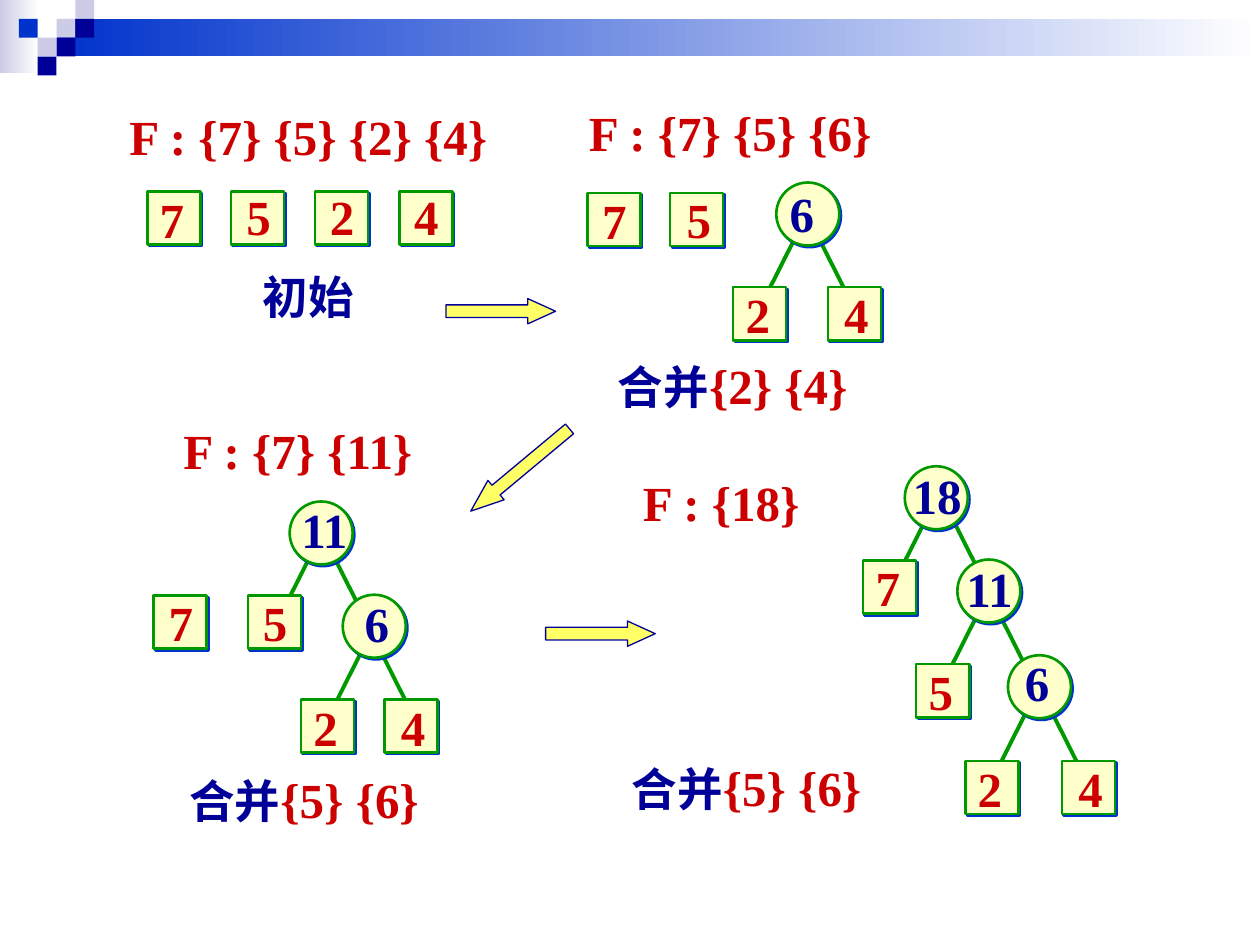
from dataclasses import dataclass
from lxml.etree import SubElement
from pptx import Presentation
from pptx.dml.color import RGBColor
from pptx.enum.shapes import MSO_CONNECTOR, MSO_SHAPE
from pptx.enum.text import MSO_ANCHOR, MSO_AUTO_SIZE, PP_ALIGN
from pptx.oxml.ns import qn
from pptx.util import Cm, Pt


@dataclass(frozen=True)
class Theme:
    red: str = "CC0000"
    navy: str = "000099"
    blue: str = "0033CC"
    lilac: str = "CCCCE6"
    green: str = "009900"
    cream: str = "FFFFCC"
    yellow: str = "FFFF66"
    white: str = "FFFFFF"
    font: str = "Times New Roman"
    small: int = 26
    text: int = 28
    large: int = 32


look = Theme()
deck = Presentation()
deck.slide_width, deck.slide_height = Cm(25.4), Cm(19.05)
slide = deck.slides.add_slide(deck.slide_layouts[6])
shapes = slide.shapes


def block(kind, box, fill, line=None, width=0):
    shape = shapes.add_shape(kind, *map(Cm, box))
    shape.shadow.inherit = False
    shape.fill.solid()
    shape.fill.fore_color.rgb = RGBColor.from_string(fill)
    if line:
        shape.line.color.rgb = RGBColor.from_string(line)
        shape.line.width = Pt(width)
    else:
        shape.line.fill.background()
    return shape


def write(box, runs, wrap=False):
    frame = shapes.add_textbox(*map(Cm, box)).text_frame
    frame.word_wrap = wrap
    frame.auto_size = MSO_AUTO_SIZE.SHAPE_TO_FIT_TEXT
    frame.vertical_anchor = MSO_ANCHOR.MIDDLE
    para = frame.paragraphs[0]
    para.alignment = PP_ALIGN.CENTER
    for text, size, color in runs:
        run = para.add_run()
        run.text = text
        run.font.name = look.font
        run.font.size = Pt(size)
        run.font.bold = True
        run.font.color.rgb = RGBColor.from_string(color)


bands = [((0, 0, 0.79, 1.47), look.lilac), ((1.14, 0.38, 24.26, 0.76), look.blue)]
for box, start in bands:
    band = block(MSO_SHAPE.RECTANGLE, box, start)
    band.fill.gradient()
    band.fill.gradient_angle = 0
    for stop, color, place in zip(band.fill.gradient_stops, (start, look.white), (0, 1)):
        stop.color.rgb = RGBColor.from_string(color)
        stop.position = place

tile = 0.38
tiles = [
    (3, 1, look.lilac), (4, 0, look.lilac), (4, 1, look.navy), (2, 2, look.lilac),
    (1, 1, look.blue), (3, 2, look.navy), (2, 3, look.navy),
]
for col, row, color in tiles:
    block(MSO_SHAPE.RECTANGLE, (col * tile, row * tile, tile, tile), color)

sets = [
    ((2.34, 2.01, 7.75, 1.45), "F : {7} {5} {2} {4}", False),
    ((11.61, 1.93, 6.22, 1.45), "F : {7} {5} {6}", False),
    ((3.4, 8.2, 5.49, 1.63), "F : {7} {11}", True),
    ((12.7, 9.25, 3.96, 1.63), "F : {18}", True),
]
for box, text, tail in sets:
    runs = [(text, look.text, look.red)]
    if tail:
        runs.append((" ", look.large, look.red))
    write(box, runs)

write((5.05, 5.28, 2.34, 1.37), [("初始", look.small, look.navy)])
merges = [(12.09, 7.04, "{2} {4}"), (3.45, 15.39, "{5} {6}"), (12.37, 15.14, "{5} {6}")]
for x, y, pair in merges:
    runs = [("合并", look.small, look.navy), (pair, look.text, look.red)]
    write((x, y, 5.36, 1.45), runs)

edges = [
    (16.48, 4.75, 1), (16.05, 4.75, -1),
    (6.27, 11.18, -1), (6.71, 11.18, 1), (7.75, 13.28, 1), (7.34, 13.03, -1),
    (18.67, 10.46, -1), (19.1, 10.26, 1), (20.14, 12.37, 1), (19.74, 12.32, -1),
    (21.16, 14.27, 1), (20.73, 14.27, -1),
]
for x, y, side in edges:
    ends = (x, y, x + side * 0.64, y + 1.27)
    edge = shapes.add_connector(MSO_CONNECTOR.STRAIGHT, *map(Cm, ends))
    edge.line.color.rgb = RGBColor.from_string(look.green)
    edge.line.width = Pt(2.25)
    SubElement(edge._element.spPr, qn("a:effectLst"))

leaf = (MSO_SHAPE.RECTANGLE, 1.07, look.red)
root = (MSO_SHAPE.OVAL, 1.27, look.navy)
nodes = [
    (leaf, "7", 2.97, 3.86, 0, -0.18, 0.99),
    (leaf, "5", 4.66, 3.86, 0.06, -0.23, 0.99),
    (leaf, "2", 6.35, 3.86, 0.05, -0.23, 0.99),
    (leaf, "4", 8.05, 3.86, 0.05, -0.23, 0.99),
    (leaf, "7", 11.84, 3.89, 0.05, -0.18, 0.99),
    (leaf, "5", 13.51, 3.89, 0.08, -0.2, 0.99),
    (leaf, "2", 14.78, 5.79, 0, -0.18, 0.99),
    (leaf, "4", 16.69, 5.79, 0.08, -0.18, 0.99),
    (root, "6", 15.65, 3.68, 0.02, -0.12, 0.99),
    (leaf, "7", 3.1, 12.01, 0.05, -0.2, 0.99),
    (leaf, "5", 5, 12.01, 0.05, -0.2, 0.99),
    (leaf, "2", 6.07, 14.1, 0, -0.18, 0.99),
    (leaf, "4", 7.75, 14.1, 0.08, -0.18, 0.99),
    (root, "6", 6.91, 11.99, -0.05, -0.15, 1.47),
    (root, "11", 5.84, 10.11, -0.15, -0.18, 1.7),
    (leaf, "7", 17.4, 11.3, 0, -0.2, 0.99),
    (leaf, "5", 18.47, 13.39, 0, -0.18, 0.99),
    (root, "11", 19.3, 11.28, -0.2, -0.15, 1.7),
    (root, "18", 18.24, 9.4, -0.2, -0.15, 1.7),
    (leaf, "2", 19.46, 15.34, 0, -0.18, 0.99),
    (leaf, "4", 21.41, 15.34, 0.08, -0.18, 0.99),
    (root, "6", 20.32, 13.21, -0.15, -0.18, 1.47),
]
for (kind, size, color), text, x, y, right, down, wide in nodes:
    node = block(kind, (x, y, size, size), look.cream, look.green, 1.5)
    effects = node._element.spPr.find(qn("a:effectLst"))
    shade = SubElement(effects, qn("a:outerShdw"), dist=str(Pt(1.4)), dir="2700000", algn="ctr", rotWithShape="0")
    SubElement(shade, qn("a:srgbClr"), val=look.blue)
    write((x + right, y + down, wide, 1.45), [(text, look.text, color)], wide > 1)

arrows = [(8.99, 6.02, 2.21, 0, 1.1), (9.19, 9.22, 2.59, 140.2, 1.3), (11, 12.52, 2.21, 0, 1.1)]
for x, y, wide, turn, head in arrows:
    arrow = block(MSO_SHAPE.RIGHT_ARROW, (x, y, wide, 0.51), look.yellow, look.navy, 0.75)
    arrow.rotation = turn
    arrow.adjustments[0] = 0.5
    arrow.adjustments[1] = head

deck.save("out.pptx")
